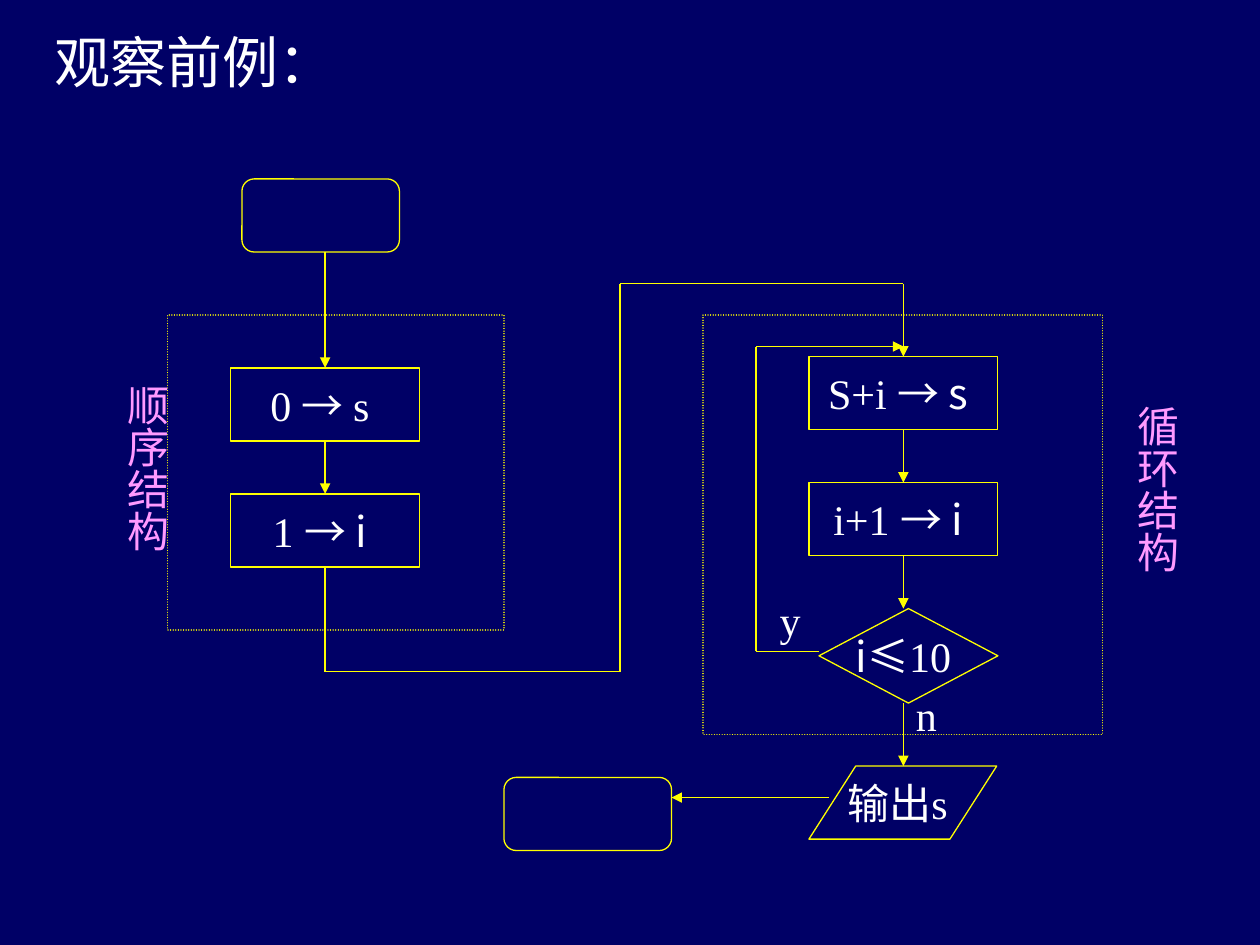
import pptx
import pptx.util
import pptx.dml.color
import pptx.enum.dml
import pptx.enum.shapes
import pptx.enum.text
import pptx.oxml
import pptx.oxml.ns

Inches, Pt = pptx.util.Inches, pptx.util.Pt
RGB = pptx.dml.color.RGBColor.from_string
KIND = pptx.enum.shapes.MSO_SHAPE
ANCHOR = pptx.enum.text.MSO_ANCHOR
ALIGN = pptx.enum.text.PP_ALIGN
qn = pptx.oxml.ns.qn
COLORS = {"navy": "000066", "yellow": "FFFF00", "white": "FFFFFF", "pink": "FF99FF"}
HAN, ROMAN = "Noto Sans CJK SC", "Times New Roman"


def write(frame, runs, color="white", size=24, align=ALIGN.LEFT):
    para = frame.paragraphs[0]
    para.alignment = align
    for text, face in runs:
        run = para.add_run()
        run.text = text
        run.font.size = Pt(size)
        run.font.name = face
        run.font.color.rgb = RGB(COLORS[color])
        east = pptx.oxml.parse_xml(
            '<a:ea xmlns:a="http://schemas.openxmlformats.org/drawingml/2006/main"'
            f' typeface="{HAN}"/>')
        run.font._element.find(qn("a:latin")).addnext(east)


deck = pptx.Presentation()
deck.slide_width, deck.slide_height = Inches(10), Inches(7.5)
slide = deck.slides.add_slide(deck.slide_layouts[5])
slide.background.fill.solid()
slide.background.fill.fore_color.rgb = RGB(COLORS["navy"])

# Title
title = slide.shapes.title
title.left, title.top = Inches(0.33), Inches(0.17)
title.width, title.height = Inches(9), Inches(0.8)
title.text_frame.vertical_anchor = ANCHOR.TOP
write(title.text_frame, [("观察前例：", HAN)], size=32)

# Frames and flowchart steps: key, kind, left, top, width, height, runs
steps = [
    ("order", KIND.RECTANGLE, 1.33, 2.5, 2.67, 2.5, []),
    ("loop", KIND.RECTANGLE, 5.58, 2.5, 3.17, 3.33, []),
    ("start", KIND.ROUNDED_RECTANGLE, 1.92, 1.42, 1.25, 0.58, []),
    ("zero", KIND.RECTANGLE, 1.83, 2.92, 1.5, 0.58,
     [("0 ", ROMAN), ("→ ", HAN), ("s", ROMAN)]),
    ("one", KIND.RECTANGLE, 1.83, 3.92, 1.5, 0.58, [("1 ", ROMAN), ("→ i", HAN)]),
    ("sum", KIND.RECTANGLE, 6.42, 2.83, 1.5, 0.58, [("S+i ", ROMAN), ("→ s", HAN)]),
    ("next", KIND.RECTANGLE, 6.42, 3.83, 1.5, 0.58, [("i+1 ", ROMAN), ("→ i", HAN)]),
    ("test", KIND.DIAMOND, 6.5, 4.83, 1.42, 0.75, [("i≤", HAN), ("10", ROMAN)]),
    ("print", KIND.PARALLELOGRAM, 6.42, 6.08, 1.49, 0.58, [("输出", HAN), ("s", ROMAN)]),
    ("end", KIND.ROUNDED_RECTANGLE, 4, 6.17, 1.33, 0.58, []),
]
boxes = {}
for key, kind, left, top, width, height, runs in steps:
    box = slide.shapes.add_shape(kind, Inches(left), Inches(top), Inches(width), Inches(height))
    box.shadow.inherit = False
    box.fill.solid()
    box.fill.fore_color.rgb = RGB(COLORS["navy"])
    box.line.color.rgb = RGB(COLORS["yellow"])
    box.line.width = Pt(0.75)
    if runs:
        box.text_frame.word_wrap = False
        box.text_frame.vertical_anchor = ANCHOR.MIDDLE
        box.text_frame.margin_right = Inches(0.18)
        write(box.text_frame, runs, align=ALIGN.CENTER)
    boxes[key] = box
for key in ("order", "loop"):
    boxes[key].line.dash_style = pptx.enum.dml.MSO_LINE.ROUND_DOT
    boxes[key]._element.spPr.find(qn("a:ln")).set("cap", "rnd")
boxes["print"].adjustments[0] = 0.64

# Lines: x1, y1, x2, y2, arrow, box joined at its bottom, box joined at its top
wires = [
    (2.58, 2, 2.58, 2.92, True, None, "zero"),
    (2.58, 3.5, 2.58, 3.92, True, "zero", "one"),
    (2.58, 4.5, 2.58, 5.33, False, "one", None),
    (2.58, 5.33, 4.92, 5.33, False, None, None),
    (4.92, 5.33, 4.92, 2.25, False, None, None),
    (4.92, 2.25, 7.17, 2.25, False, None, None),
    (7.17, 2.25, 7.17, 2.83, True, None, "sum"),
    (7.17, 3.42, 7.17, 3.83, True, "sum", "next"),
    (7.17, 4.42, 7.17, 4.83, True, "next", None),
    (6.5, 5.17, 6, 5.17, False, None, None),
    (6, 5.17, 6, 2.75, False, None, None),
    (6, 2.75, 7.17, 2.75, True, None, None),
    (7.17, 5.58, 7.17, 6.08, True, None, None),
    (6.58, 6.33, 5.33, 6.33, True, None, None),
]
for x1, y1, x2, y2, arrow, tail, head in wires:
    wire = slide.shapes.add_connector(
        pptx.enum.shapes.MSO_CONNECTOR.STRAIGHT, Inches(x1), Inches(y1), Inches(x2), Inches(y2))
    if tail:
        wire.begin_connect(boxes[tail], 2)
    if head:
        wire.end_connect(boxes[head], 0)
    wire.line.color.rgb = RGB(COLORS["yellow"])
    wire.line.width = Pt(0.75)
    props = wire._element.spPr
    if arrow:
        line = props.find(qn("a:ln"))
        line.append(line.makeelement(qn("a:tailEnd"), {"type": "triangle"}))
    props.append(props.makeelement(qn("a:effectLst"), {}))

# Labels: text, left, top, width, height, color, vertical
labels = [
    ("顺序结构", 0.82, 2.95, 0.6, 1.44, "pink", True),
    ("循环结构", 8.83, 3.12, 0.6, 1.44, "pink", True),
    ("y", 6.09, 4.67, 0.36, 0.5, "white", False),
    ("n", 7.17, 5.42, 0.36, 0.5, "white", False),
]
for text, left, top, width, height, color, upright in labels:
    label = slide.shapes.add_textbox(Inches(left), Inches(top), Inches(width), Inches(height))
    frame = label.text_frame
    frame.word_wrap = False
    frame.auto_size = pptx.enum.text.MSO_AUTO_SIZE.SHAPE_TO_FIT_TEXT
    if upright:
        frame.margin_left = frame.margin_right = Inches(0.05)
        frame.margin_top = frame.margin_bottom = Inches(0.1)
        frame._txBody.bodyPr.set("vert", "eaVert")
    write(frame, [(text, ROMAN)], color)

deck.save("out.pptx")
